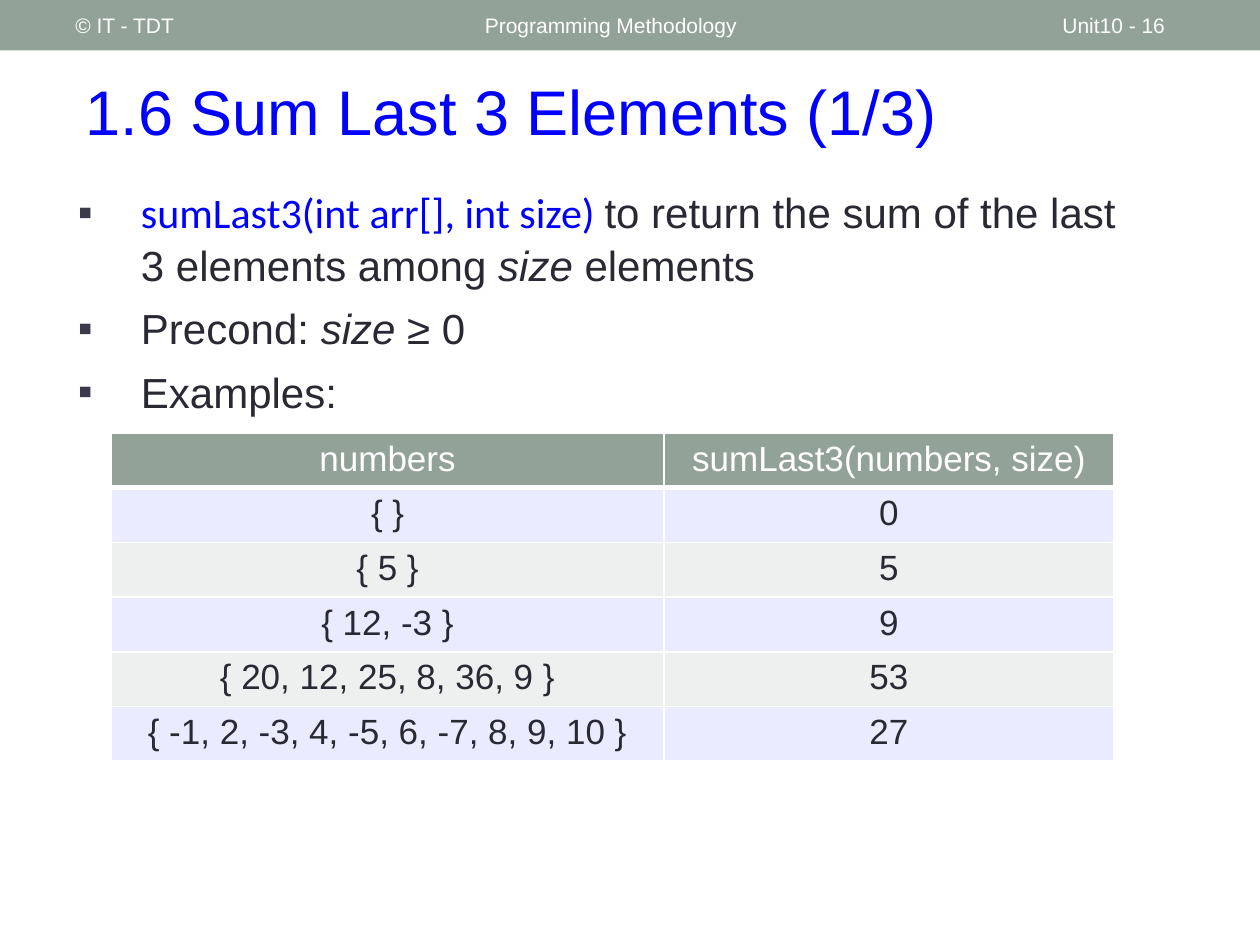
from dataclasses import dataclass

from lxml.etree import SubElement
from pptx import Presentation
from pptx.dml.color import RGBColor
from pptx.enum.shapes import MSO_SHAPE
from pptx.enum.text import MSO_ANCHOR, PP_ALIGN
from pptx.oxml import parse_xml
from pptx.oxml.ns import nsdecls, qn
from pptx.util import Pt

SAGE = RGBColor(0x93, 0xA2, 0x99)
BLUE = RGBColor(0x00, 0x00, 0xFF)
INK = RGBColor(0x29, 0x29, 0x34)
BULLET = RGBColor(0x3A, 0x3A, 0x4A)
WHITE = RGBColor(0xFF, 0xFF, 0xFF)
LILAC = RGBColor(0x9F, 0x9F, 0xFF)
PALE = RGBColor(0xEE, 0xF0, 0xEF)
LILAC_ALPHA = 20

COLUMN_WIDTHS = (316, 257)
ROW_HEIGHT = 29.5


@dataclass(frozen=True)
class Label:
    text: str
    left: float
    top: float
    width: float
    height: float
    size: float
    color: RGBColor


@dataclass(frozen=True)
class Span:
    text: str
    italic: bool = False
    font: str = "Arial"
    color: RGBColor = INK


LABELS = (
    Label("1.6 Sum Last 3 Elements (1/3)", 42, 30, 660, 66.5, 36, BLUE),
    Label("Programming Methodology", 270, 1.5, 324, 26, 12, WHITE),
    Label("Unit10 - 16", 600, 1.5, 84, 26, 12, WHITE),
    Label("© IT - TDT", 36, 1.5, 228, 26, 12, WHITE),
)
BULLETS = (
    (
        Span("sumLast3(int arr[], int size) ", font="Calibri", color=BLUE),
        Span("to return the sum of the last 3 elements among "),
        Span("size", italic=True),
        Span(" elements"),
    ),
    (Span("Precond: "), Span("size", italic=True), Span(" ≥ 0")),
    (Span("Examples:"),),
)
EXAMPLES = (
    ("numbers", "sumLast3(numbers, size)"),
    ("{ }", "0"),
    ("{ 5 }", "5"),
    ("{ 12, -3 }", "9"),
    ("{ 20, 12, 25, 8, 36, 9 }", "53"),
    ("{ -1, 2, -3, 4, -5, 6, -7, 8, 9, 10 }", "27"),
)


def style(r, size: float, color: RGBColor, font: str = "Arial") -> None:
    r.font.size = Pt(size)
    r.font.name = font
    r.font.color.rgb = color


def add_band(slide) -> None:
    sp = slide.shapes.add_shape(MSO_SHAPE.RECTANGLE, 0, 0, Pt(720), Pt(28.8))
    sp.shadow.inherit = False
    sp.fill.solid()
    sp.fill.fore_color.rgb = SAGE
    sp.line.fill.background()


def add_label(slide, label: Label) -> None:
    sp = slide.shapes.add_textbox(
        Pt(label.left), Pt(label.top), Pt(label.width), Pt(label.height))
    tf = sp.text_frame
    tf.word_wrap = True
    tf.vertical_anchor = MSO_ANCHOR.MIDDLE
    tf.text = label.text
    style(tf.paragraphs[0].runs[0], label.size, label.color)


def set_bullet(p) -> None:
    """Give the paragraph a square bullet with a hanging indent."""
    pPr = p._p.get_or_add_pPr()
    pPr.set("marL", str(Pt(36)))
    pPr.set("indent", str(-Pt(36)))
    SubElement(SubElement(pPr, qn("a:buClr")), qn("a:srgbClr")).set("val", str(BULLET))
    SubElement(pPr, qn("a:buFont")).set("typeface", "Arial")
    SubElement(pPr, qn("a:buChar")).set("char", "▪")


def add_bullets(slide) -> None:
    sp = slide.shapes.add_textbox(Pt(37.5), Pt(101.5), Pt(625.5), Pt(159))
    tf = sp.text_frame
    tf.word_wrap = True
    for i, spans in enumerate(BULLETS):
        p = tf.add_paragraph() if i else tf.paragraphs[0]
        set_bullet(p)
        p.line_spacing = 1.05
        if i:
            p.space_before = Pt(6)
        for span in spans:
            r = p.add_run()
            r.text = span.text
            style(r, 24, span.color, span.font)
            r.font.italic = span.italic


def set_borders(cell, bottom: float, top: float) -> None:
    tcPr = cell._tc.get_or_add_tcPr()
    widths = (("lnL", 1), ("lnR", 1), ("lnT", top), ("lnB", bottom))
    for i, (side, width) in enumerate(widths):
        tcPr.insert(i, parse_xml(
            f'<a:{side} {nsdecls("a")} w="{Pt(width)}"><a:solidFill>'
            f'<a:srgbClr val="{WHITE}"/></a:solidFill></a:{side}>'))


def fill_cell(cell, row: int) -> None:
    cell.fill.solid()
    cell.fill.fore_color.rgb = SAGE if row == 0 else LILAC if row % 2 else PALE
    if row % 2:
        color = cell._tc.tcPr.find(".//" + qn("a:srgbClr"))
        SubElement(color, qn("a:alpha")).set("val", str(LILAC_ALPHA * 1000))


def add_examples(slide) -> None:
    table = slide.shapes.add_table(
        len(EXAMPLES), len(COLUMN_WIDTHS), Pt(63.5), Pt(247.5),
        Pt(sum(COLUMN_WIDTHS)), Pt(ROW_HEIGHT * len(EXAMPLES))).table
    table.horz_banding = False
    table.first_row = False
    for column, width in zip(table.columns, COLUMN_WIDTHS):
        column.width = Pt(width)
    for i, values in enumerate(EXAMPLES):
        table.rows[i].height = Pt(ROW_HEIGHT)
        for j, value in enumerate(values):
            cell = table.cell(i, j)
            cell.text_frame.text = value
            p = cell.text_frame.paragraphs[0]
            p.alignment = PP_ALIGN.CENTER
            style(p.runs[0], 20, INK if i else WHITE)
            fill_cell(cell, i)
            set_borders(cell, bottom=1 if i else 3, top=3 if i == 1 else 1)


def main() -> None:
    prs = Presentation()
    prs.slide_width, prs.slide_height = Pt(720), Pt(540)
    slide = prs.slides.add_slide(prs.slide_layouts[6])
    add_band(slide)
    for label in LABELS:
        add_label(slide, label)
    add_bullets(slide)
    add_examples(slide)
    prs.save("out.pptx")


if __name__ == "__main__":
    main()
